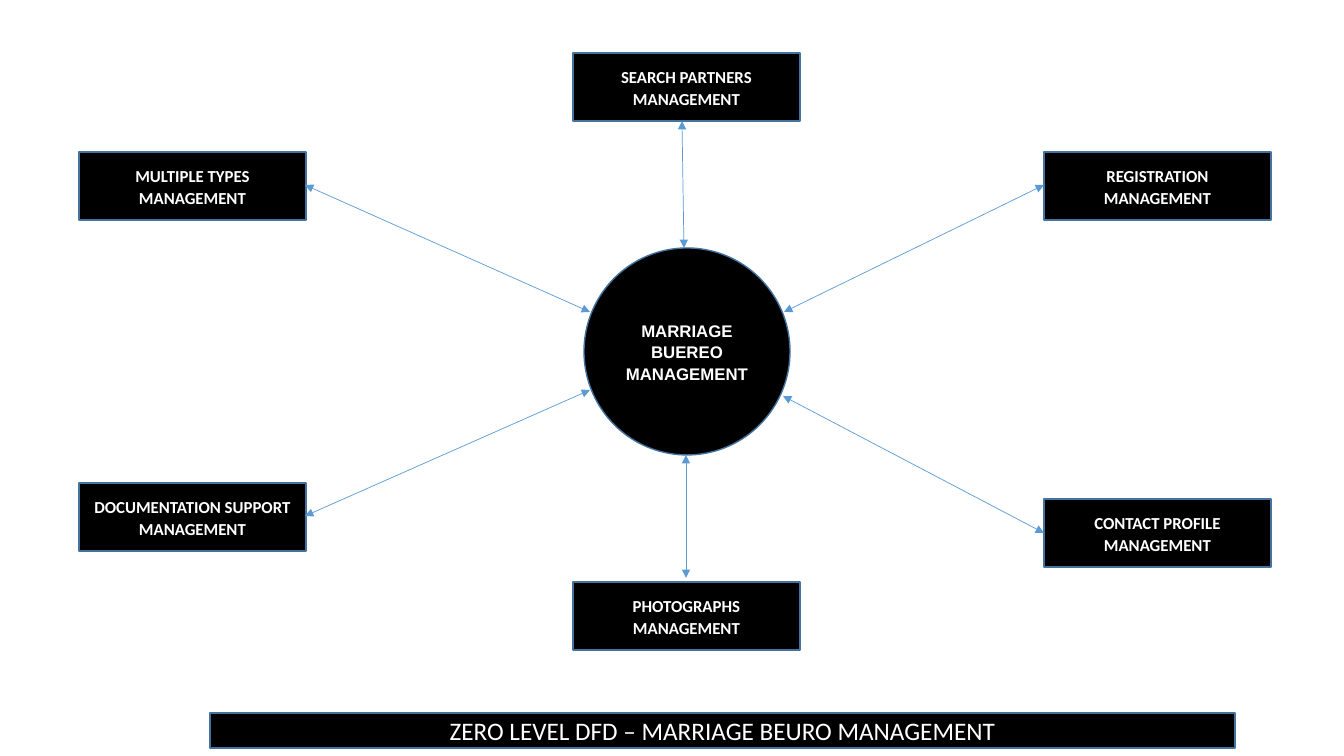
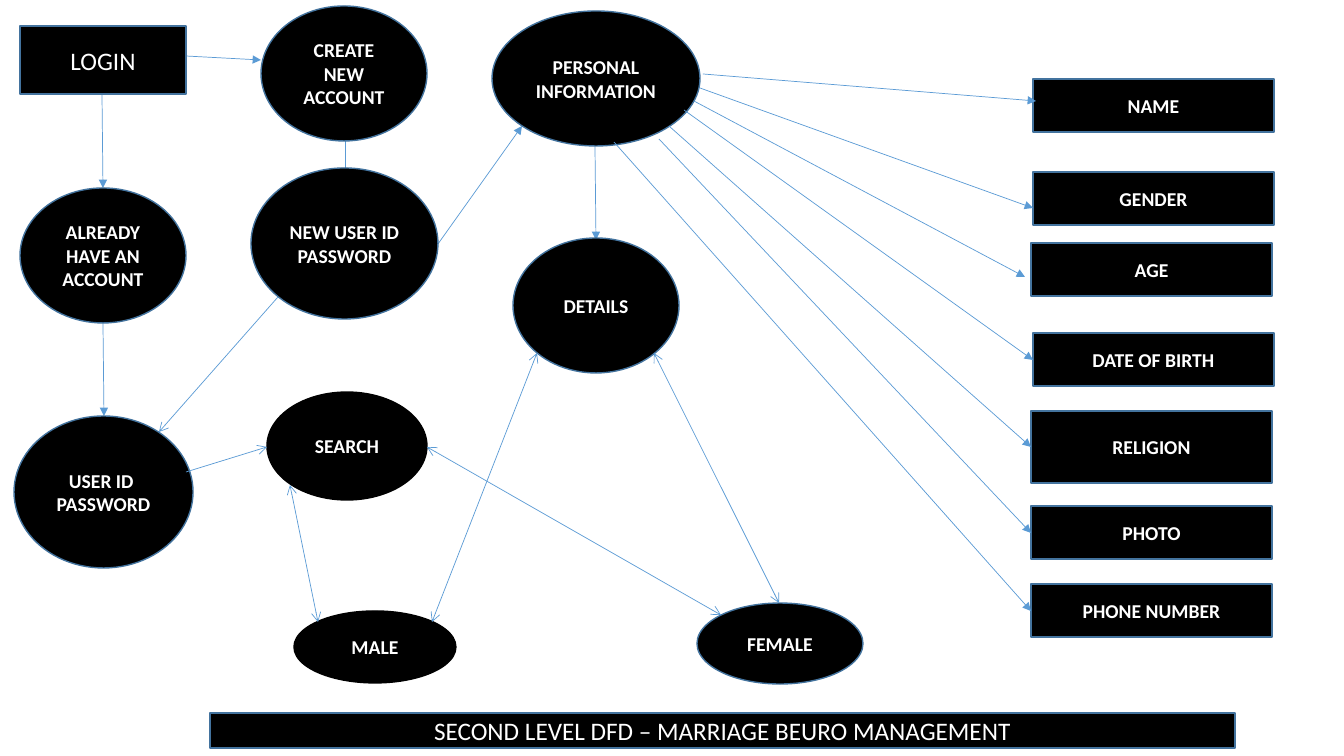
"""Build the zero level and second level data flow diagrams."""
from dataclasses import dataclass
from typing import NamedTuple

from lxml import etree
from pptx import Presentation
from pptx.dml.color import RGBColor
from pptx.enum.shapes import MSO_CONNECTOR, MSO_SHAPE
from pptx.enum.text import MSO_ANCHOR, PP_ALIGN
from pptx.oxml.ns import qn
from pptx.slide import Slide
from pptx.util import Pt

RECT = MSO_SHAPE.RECTANGLE
STEP = MSO_SHAPE.FLOWCHART_PROCESS
NODE = MSO_SHAPE.FLOWCHART_CONNECTOR
OVAL = MSO_SHAPE.OVAL
LINE = MSO_CONNECTOR.STRAIGHT
MID = MSO_ANCHOR.MIDDLE
CENTER = PP_ALIGN.CENTER
SCALE = 914400 / 100.8
WIDE, HIGH = 1344, 756


@dataclass(frozen=True)
class Theme:
    """Colours, line widths and type sizes."""
    fill: str = "000000"
    edge: str = "43739E"
    link: str = "5B9BD5"
    ink: str = "FFFFFF"
    border: float = 1
    hair: float = 0.5
    title: int = 18
    body: int = 14
    small: int = 12
    sans: str = "Calibri"
    alt: str = "Arial"


THEME = Theme()
TITLE = {"name": THEME.sans, "size": Pt(THEME.title), "bold": False}
BODY = {"name": THEME.sans, "size": Pt(THEME.body), "bold": True}
SMALL = {"name": THEME.sans, "size": Pt(THEME.small), "bold": True}
HUB = SMALL | {"name": THEME.alt}
TIGHT = {"alignment": CENTER}
LOOSE = {"alignment": CENTER, "line_spacing": 1.07, "space_after": Pt(8)}


class Box(NamedTuple):
    """A filled shape with centred text."""
    text: str
    left: int
    top: int
    width: int
    height: int
    kind: MSO_SHAPE = NODE
    font: dict = BODY
    para: dict = TIGHT
    edge: str = THEME.edge


class Link(NamedTuple):
    """A thin line with its end marks."""
    x1: int
    y1: int
    x2: int
    y2: int
    tail: str = "triangle"
    head: str = "none"


class Page(NamedTuple):
    """A slide: title, links below, boxes, links above."""
    title: str
    under: list[Link]
    boxes: list[Box]
    over: list[Link]


def emu(px: float) -> int:
    """Turn pixels into EMU."""
    return round(px * SCALE)


def apply(item: object, look: dict) -> None:
    """Set each format value on an item."""
    for key, value in look.items():
        setattr(item, key, value)


def draw_box(slide: Slide, box: Box) -> None:
    """Draw one box."""
    shape = slide.shapes.add_shape(box.kind, *map(emu, box[1:5]))
    shape.shadow.inherit = False
    shape.fill.solid()
    shape.fill.fore_color.rgb = RGBColor.from_string(THEME.fill)
    shape.line.color.rgb = RGBColor.from_string(box.edge)
    shape.line.width = Pt(THEME.border)
    frame = shape.text_frame
    apply(frame, {"text": box.text, "word_wrap": True, "vertical_anchor": MID})
    for para in frame.paragraphs:
        apply(para, box.para)
        for run in para.runs:
            apply(run.font, box.font)
            run.font.color.rgb = RGBColor.from_string(THEME.ink)


def draw_link(slide: Slide, link: Link) -> None:
    """Draw one link."""
    line = slide.shapes.add_connector(LINE, *map(emu, link[:4]))
    line.line.color.rgb = RGBColor.from_string(THEME.link)
    line.line.width = Pt(THEME.hair)
    props = line.element.spPr
    stroke = props.find(qn("a:ln"))
    for tag, mark in (("a:headEnd", link.head), ("a:tailEnd", link.tail)):
        etree.SubElement(stroke, qn(tag), type=mark)
    etree.SubElement(props, qn("a:effectLst"))


def draw_page(slide: Slide, page: Page) -> None:
    """Draw one page from back to front."""
    for link in page.under:
        draw_link(slide, link)
    for box in page.boxes:
        draw_box(slide, box)
    for link in page.over:
        draw_link(slide, link)
    name = f"{page.title} LEVEL DFD – MARRIAGE BEURO MANAGEMENT"
    draw_box(slide, Box(name, 210, 713, 1025, 35, RECT, TITLE))


PARTS = [
    ("MULTIPLE TYPES", 79, 152),
    ("SEARCH PARTNERS", 573, 53),
    ("REGISTRATION", 1044, 152),
    ("PHOTOGRAPHS", 573, 582),
    ("CONTACT PROFILE", 1044, 499),
    ("DOCUMENTATION SUPPORT", 79, 483),
]
SPOKES = [
    (682, 121, 684, 248),
    (305, 185, 590, 312),
    (1044, 185, 784, 312),
    (686, 455, 686, 578),
    (590, 390, 305, 516),
    (783, 396, 1044, 533),
]
FIELDS = [
    ("NAME", 1033, 79, 53),
    ("GENDER", 1033, 172, 53),
    ("AGE", 1031, 243, 53),
    ("DATE OF BIRTH", 1033, 333, 53),
    ("RELIGION", 1031, 411, 72),
    ("PHOTO", 1031, 506, 53),
    ("PHONE NUMBER", 1031, 584, 53),
]

ZERO = Page(
    "ZERO",
    [],
    [Box("MARRIAGE BUEREO MANAGEMENT", 584, 248, 206, 207, NODE, HUB, LOOSE)]
    + [Box(f"{name} MANAGEMENT", x, y, 227, 68, STEP, SMALL, LOOSE)
       for name, x, y in PARTS],
    [Link(*ends, head="triangle") for ends in SPOKES],
)
SECOND = Page(
    "SECOND",
    [
        Link(102, 94, 103, 188),
        Link(103, 323, 104, 416),
        Link(186, 56, 261, 60),
        Link(345, 140, 345, 205),
        Link(438, 244, 522, 126),
        Link(595, 146, 596, 240),
    ],
    [
        Box("LOGIN", 20, 26, 166, 68, RECT, TITLE),
        Box("CREATE NEW ACCOUNT", 261, 6, 166, 135),
        Box("USER ID \nPASSWORD", 14, 416, 179, 152),
        Box("ALREADY HAVE AN ACCOUNT", 20, 188, 166, 135),
        Box("NEW USER ID \nPASSWORD", 251, 168, 187, 151),
        Box("PERSONAL INFORMATION", 492, 11, 208, 135),
        Box("DETAILS", 513, 238, 166, 135),
        Box("SEARCH", 267, 392, 160, 108, OVAL, edge=THEME.fill),
        Box("MALE", 294, 611, 162, 72, OVAL, edge=THEME.fill),
        Box("FEMALE", 697, 603, 166, 81, OVAL),
    ] + [Box(name, x, y, 241, high, RECT) for name, x, y, high in FIELDS],
    [
        Link(703, 74, 1036, 101),
        Link(700, 88, 1033, 208),
        Link(694, 101, 1025, 277),
        Link(684, 110, 1033, 360),
        Link(669, 126, 1031, 447),
        Link(659, 139, 1031, 533),
        Link(614, 142, 1031, 611),
        Link(278, 297, 159, 432, "arrow"),
        Link(186, 472, 267, 447, "arrow"),
        Link(654, 353, 779, 603, "arrow", "arrow"),
        Link(537, 353, 432, 622, "arrow", "arrow"),
        Link(290, 485, 318, 622, "arrow", "arrow"),
        Link(427, 447, 721, 615, "arrow", "arrow"),
    ],
)


def main() -> None:
    """Build and save the deck."""
    deck = Presentation()
    apply(deck, {"slide_width": emu(WIDE), "slide_height": emu(HIGH)})
    for page in (ZERO, SECOND):
        draw_page(deck.slides.add_slide(deck.slide_layouts[6]), page)
    deck.save("out.pptx")


main()
